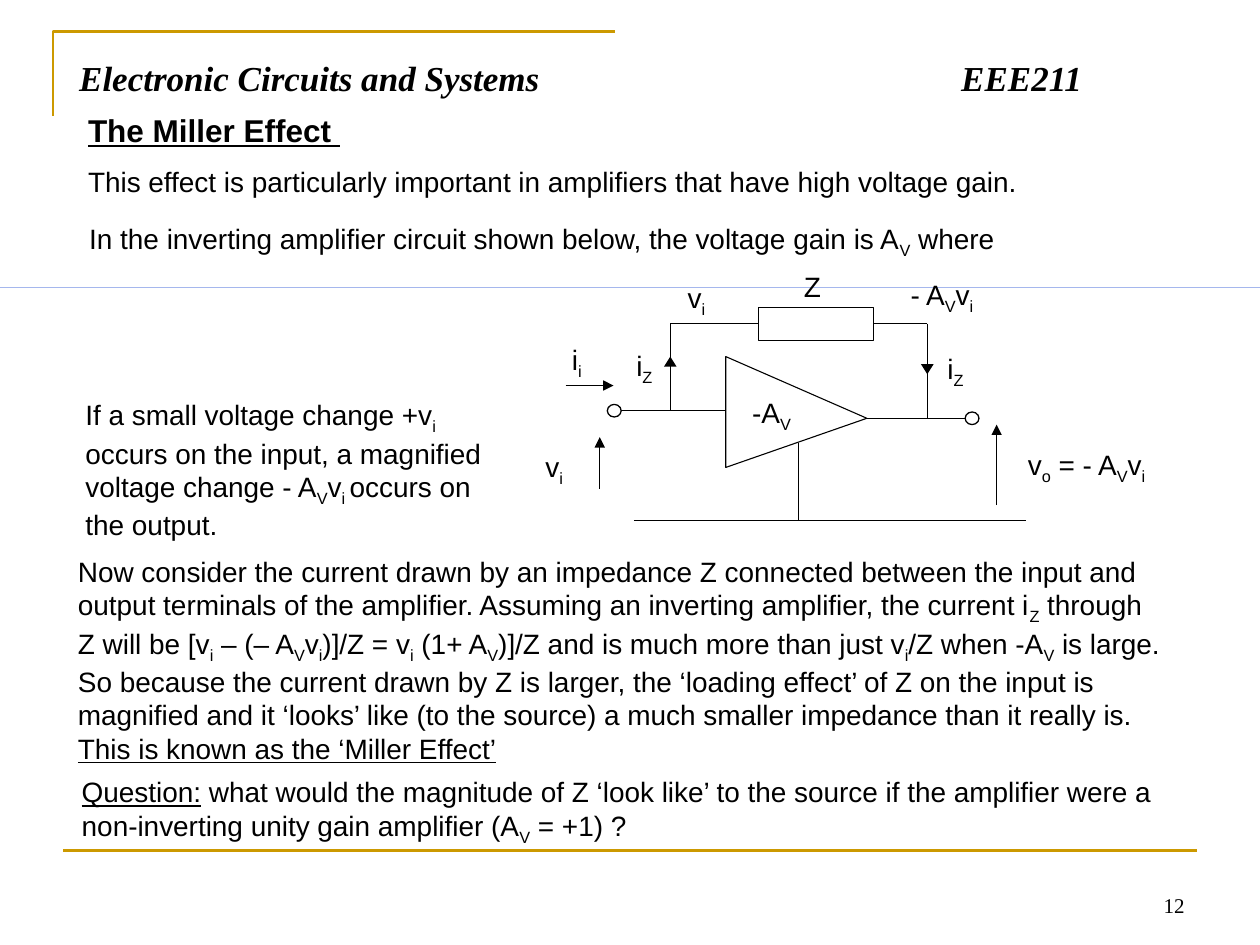
from lxml import etree
from pptx import Presentation, util as u
from pptx.dml.color import RGBColor
from pptx.enum import shapes as es, text as et
from pptx.oxml.ns import qn

BLACK = RGBColor(0, 0, 0)
WHITE = RGBColor(255, 255, 255)
GOLD = RGBColor(0xCC, 0x99, 0x00)
BLUE = RGBColor(0x00, 0x33, 0xCC)

deck = Presentation()
deck.slide_width, deck.slide_height = u.Inches(10), u.Inches(7.5)
COL, ROW = deck.slide_width / 100, deck.slide_height / 75
slide = deck.slides.add_slide(deck.slide_layouts[6])
tree = slide.shapes


def place(*cells):
    return [round(cell * unit) for cell, unit in zip(cells, (COL, ROW) * 2)]


def write(words, cells, size=16, face="Arial", inset=True):
    box = tree.add_textbox(*place(*cells))
    frame = box.text_frame
    frame.word_wrap = True
    frame.auto_size = et.MSO_AUTO_SIZE.SHAPE_TO_FIT_TEXT
    if not inset:
        frame.margin_left = frame.margin_right = 0
        frame.margin_top = frame.margin_bottom = 0
    para = frame.paragraphs[0]
    for turn, part in enumerate(words.split("|")):
        for step, piece in enumerate(part.split("~")):
            if not piece:
                continue
            run = para.add_run()
            run.text = piece
            run.font.size = u.Pt(size)
            run.font.name = face
            run.font.color.rgb = BLACK
            if step % 2:
                run.font.underline = True
            if turn % 2:
                run.font._element.set("baseline", "-25000")
    return frame


outlines = [
    ([(4.2, 9.2), (4.2, 2.5), (48.8, 2.5)], False, None, GOLD, 1.5),
    ([(57.6, 28.3), (68.8, 33.2), (57.6, 37.1)], True, None, BLACK, 0.63),
    ([(53.7, 29.1), (53.2, 28.3), (52.7, 29.1)], True, BLACK, None, 0),
    ([(73.1, 28.9), (73.6, 29.7), (74.1, 28.9)], True, BLACK, None, 0),
]
for points, closed, fill, ink, weight in outlines:
    spots = [place(*point) for point in points]
    pen = tree.build_freeform(*spots[0])
    pen.add_line_segments(spots[1:], close=closed)
    form = pen.convert_to_shape()
    form.shadow.inherit = False
    if fill is None:
        form.fill.background()
    else:
        form.fill.solid()
        form.fill.fore_color.rgb = fill
    if ink is None:
        form.line.fill.background()
    else:
        form.line.color.rgb = ink
        form.line.width = u.Pt(weight)

KIND = es.MSO_SHAPE
solids = [
    (KIND.RECTANGLE, (0, 22.8, 100, 0), BLUE, 0),
    (KIND.RECTANGLE, (60.2, 24.4, 9.1, 2.6), WHITE, 0.63),
]
ports = [(KIND.OVAL, (x, y, 1.1, 1), WHITE, 0.75) for x, y in ((48.2, 32.1), (76.6, 32.7))]

wires = [
    ((5, 67.5), (95, 67.5), GOLD, 1.5, False),
    ((48.9, 32.6), (57.6, 32.6), BLACK, 0.63, False),
    ((68.8, 33.2), (77.4, 33.2), BLACK, 0.63, False),
    ((53.2, 32.6), (53.2, 25.7), BLACK, 0.63, False),
    ((53.2, 25.7), (60.2, 25.7), BLACK, 0.63, False),
    ((73.6, 25.7), (69.3, 25.7), BLACK, 0.63, False),
    ((73.6, 25.7), (73.6, 33.2), BLACK, 0.63, False),
    ((63.4, 35.2), (63.4, 41.3), BLACK, 0.63, False),
    ((50.3, 41.3), (81.4, 41.3), BLACK, 0.63, False),
    ((47.6, 38.8), (47.6, 34.7), BLACK, 0.75, True),
    ((79.1, 40.1), (79.1, 33.7), BLACK, 0.75, True),
    ((44.9, 30.6), (48.7, 30.6), BLACK, 0.75, True),
]
sides = {(60.2, 25.7): 1, (69.3, 25.7): 3}
block = None
for group in (solids, wires, ports):
    for item in group:
        if group is wires:
            start, end, ink, weight, head = item
            wire = tree.add_connector(es.MSO_CONNECTOR.STRAIGHT, *place(*start, *end))
            wire.line.color.rgb = ink
            wire.line.width = u.Pt(weight)
            if end in sides:
                wire.end_connect(block, sides[end])
            if head:
                etree.SubElement(wire.line._get_or_add_ln(), qn("a:tailEnd"), type="triangle")
            etree.SubElement(wire._element.spPr, qn("a:effectLst"))
            continue
        kind, cells, fill, weight = item
        solid = tree.add_shape(kind, *place(*cells))
        solid.shadow.inherit = False
        solid.fill.solid()
        solid.fill.fore_color.rgb = fill
        if weight:
            solid.line.color.rgb = BLACK
            solid.line.width = u.Pt(weight)
        else:
            solid.line.fill.background()
        if group is solids:
            block = solid

title = write("Electronic Circuits and Systems\tEEE211", (5.3, 4, 89.2, 6.1), 20, "Times New Roman")
title.auto_size = et.MSO_AUTO_SIZE.NONE
line = title.paragraphs[0]
tabs = etree.SubElement(line._p.get_or_add_pPr(), qn("a:tabLst"))
etree.SubElement(tabs, qn("a:tab"), pos=str(round(70 * COL)), algn="l")
line.runs[0].font.bold = line.runs[0].font.italic = True

topic = write("~The Miller Effect ~", (6, 8.3, 75.5, 4), 18)
topic.paragraphs[0].runs[0].font.bold = True

page = write("12", (71.7, 68.3, 23.3, 5), 12, "Times New Roman")
page.auto_size = et.MSO_AUTO_SIZE.NONE
page.vertical_anchor = et.MSO_ANCHOR.BOTTOM
page.paragraphs[0].alignment = et.PP_ALIGN.RIGHT

notes = [
    ("This effect is particularly important in amplifiers that have high voltage gain.",
     (6, 12.6, 88.2, 3.7)),
    ("In the inverting amplifier circuit shown below, the voltage gain is A|V| where",
     (6.1, 17.1, 88.2, 3.7)),
    ("If a small voltage change +v|i| occurs on the input, a magnified voltage change "
     "- A|V|v|i |occurs on the output.", (5.8, 31.1, 33.6, 11.7)),
    ("Now consider the current drawn by an impedance Z connected between the input and "
     "output terminals of the amplifier. Assuming an inverting amplifier, the current "
     "i|Z| through Z will be [v|i| – (– A|V|v|i|)]/Z = v|i| (1+ A|V|)]/Z and is much more "
     "than just v|i|/Z when -A|V| is large. So because the current drawn by Z is larger, "
     "the ‘loading effect’ of Z on the input is magnified and it ‘looks’ like (to the "
     "source) a much smaller impedance than it really is. "
     "~This is known as the ‘Miller Effect’~", (5.2, 43.5, 87.9, 17)),
    ("~Question:~ what would the magnitude of Z ‘look like’ to the source if the amplifier "
     "were a non-inverting unity gain amplifier (A|V| = +1) ?", (5.5, 61, 89.8, 6.4)),
    ("v|i", (42.3, 35.2, 5.2, 3.7)),
    ("v|i", (53.6, 21.8, 5.2, 3.7)),
    ("i|i", (44.4, 26.7, 5.2, 3.7)),
    ("v|o| = - A|V|v|i", (80.6, 35, 17, 3.7)),
    ("- A|V|v|i", (71.3, 21.5, 17, 3.7)),
]
for words, cells in notes:
    write(words, cells)

marks = [("i|Z", 50.5, 27.7), ("i|Z", 75.2, 27.9), ("Z", 63.8, 21.4)]
for words, x, y in marks:
    write(words, (x, y, 2.3, 2.7), inset=False)
gain = write("-A|V", (59.7, 31.4, 3.2, 2.7), inset=False)
gain.word_wrap = False

deck.save("out.pptx")
